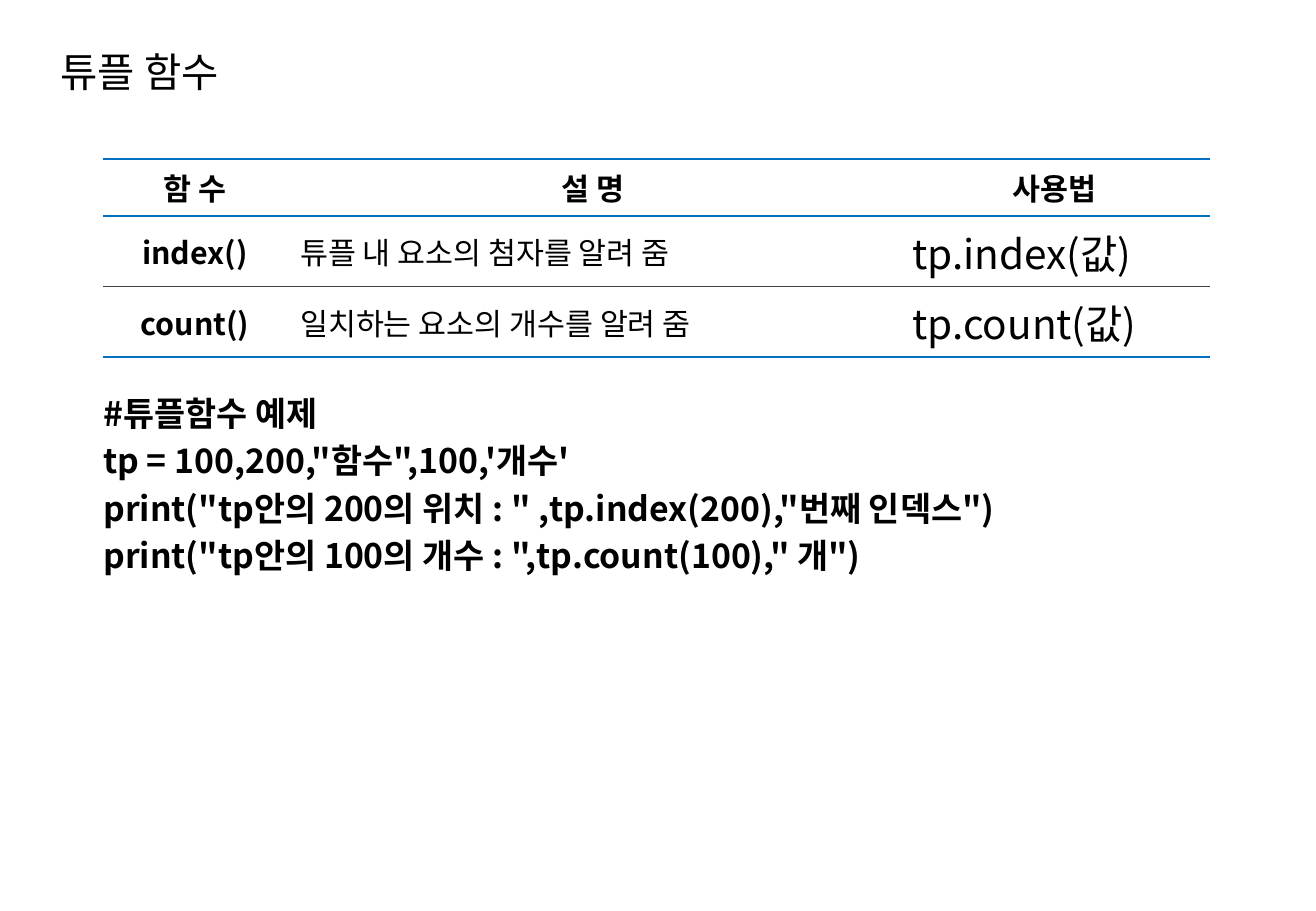
"""Build the slide on tuple functions: a title, a function table and a code example."""
from dataclasses import dataclass

from lxml import etree
from pptx import Presentation
from pptx.dml.color import RGBColor
from pptx.enum.text import MSO_ANCHOR, PP_ALIGN
from pptx.oxml.ns import qn
from pptx.util import Inches, Pt

LEFT, CENTER = PP_ALIGN.LEFT, PP_ALIGN.CENTER
TOP, MIDDLE = MSO_ANCHOR.TOP, MSO_ANCHOR.MIDDLE

TITLE = "튜플 함수"
HEADER = ("함 수", "설 명", "사용법")
FUNCTIONS = [
    ("index()", "튜플 내 요소의 첨자를 알려 줌", "tp.index(값)"),
    ("count()", "일치하는 요소의 개수를 알려 줌", "tp.count(값)"),
]
EXAMPLE = [
    "#튜플함수 예제",
    "tp = 100,200,\"함수\",100,'개수'",
    'print("tp안의 200의 위치 : " ,tp.index(200),"번째 인덱스")',
    'print("tp안의 100의 개수 : ",tp.count(100)," 개")',
]


@dataclass(frozen=True)
class Theme:
    font: str = "Noto Sans CJK KR"
    text: str = "000000"
    rule: str = "0070C0"
    divider: str = "404040"
    title_size: int = 24
    cell_size: int = 18
    usage_size: int = 24
    code_size: int = 20
    code_pitch: int = 28
    rule_width: float = 1
    divider_width: float = 0.5


THEME = Theme()
SLIDE_WIDTH, SLIDE_HEIGHT = 10.83, 7.5
MARGIN = 0.85
COLUMN_WIDTHS = (1.51, 5.04, 2.56)
ROW_HEIGHTS = (0.47, 0.58, 0.58)
TABLE_TOP = 1.31
TABLE_BOX = (MARGIN, TABLE_TOP, sum(COLUMN_WIDTHS), sum(ROW_HEIGHTS))
TITLE_BOX = (0.4, 0.32, 6.26, 0.54)
CODE_BOX = (MARGIN, 3.18, sum(COLUMN_WIDTHS), len(EXAMPLE) * THEME.code_pitch / 72)

RULE = (THEME.rule, THEME.rule_width)
DIVIDER = (THEME.divider, THEME.divider_width)
ROW_LINES = (RULE, RULE, DIVIDER, RULE)


def style(paragraph, size, bold=False, align=LEFT):
    paragraph.alignment = align
    font = paragraph.font
    font.name, font.size, font.bold = THEME.font, Pt(size), bold
    font.color.rgb = RGBColor.from_string(THEME.text)
    latin = paragraph._p.pPr.find(qn("a:defRPr")).find(qn("a:latin"))
    east_asian = etree.Element(qn("a:ea"), typeface=THEME.font)
    latin.addnext(east_asian)


def add_text(slide, box, lines, size, bold=False, anchor=TOP, inset=0.0, pitch=None):
    frame = slide.shapes.add_textbox(*map(Inches, box)).text_frame
    frame.word_wrap = True
    frame.vertical_anchor = anchor
    frame.margin_left = frame.margin_right = Inches(inset)
    frame.margin_top = frame.margin_bottom = 0
    frame.text = "\n".join(lines)
    for paragraph in frame.paragraphs:
        style(paragraph, size, bold)
        if pitch:
            paragraph.line_spacing = Pt(pitch)


def set_border(cell, side, line=None):
    properties = cell._tc.get_or_add_tcPr()
    border = etree.SubElement(properties, qn(f"a:ln{side}"))
    if line is None:
        etree.SubElement(border, qn("a:noFill"))
        return
    color, width = line
    border.set("w", str(Pt(width)))
    fill = etree.SubElement(border, qn("a:solidFill"))
    etree.SubElement(fill, qn("a:srgbClr"), val=color)


def add_function_table(slide):
    rows = [HEADER, *FUNCTIONS]
    table = slide.shapes.add_table(len(rows), len(HEADER), *map(Inches, TABLE_BOX)).table
    table.first_row = table.horz_banding = False
    for column, width in zip(table.columns, COLUMN_WIDTHS):
        column.width = Inches(width)
    for row, height in zip(table.rows, ROW_HEIGHTS):
        row.height = Inches(height)
    for r, texts in enumerate(rows):
        for c, text in enumerate(texts):
            cell = table.cell(r, c)
            cell.text = text
            cell.vertical_anchor = MIDDLE
            cell.margin_left = cell.margin_right = Inches(0.11)
            heading = r == 0 or c == 0
            usage = r > 0 and c == len(HEADER) - 1
            style(cell.text_frame.paragraphs[0],
                  THEME.usage_size if usage else THEME.cell_size,
                  heading, CENTER if heading else LEFT)
            for side, line in zip("LRTB", (None, None, ROW_LINES[r], ROW_LINES[r + 1])):
                set_border(cell, side, line)
            cell.fill.background()


def main():
    deck = Presentation()
    deck.slide_width, deck.slide_height = Inches(SLIDE_WIDTH), Inches(SLIDE_HEIGHT)
    slide = deck.slides.add_slide(deck.slide_layouts[6])
    add_text(slide, TITLE_BOX, [TITLE], THEME.title_size, anchor=MIDDLE, inset=0.1)
    add_text(slide, CODE_BOX, EXAMPLE, THEME.code_size, bold=True, pitch=THEME.code_pitch)
    add_function_table(slide)
    deck.save("out.pptx")


if __name__ == "__main__":
    main()
